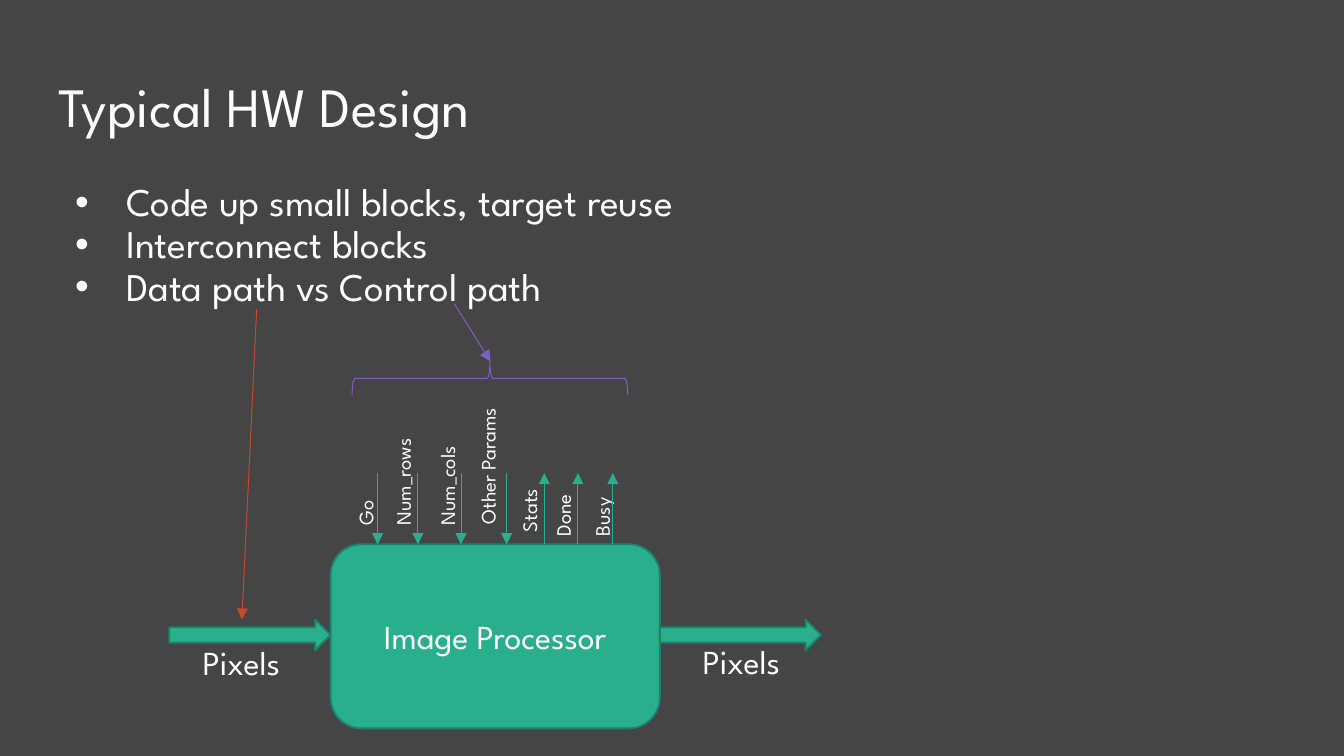
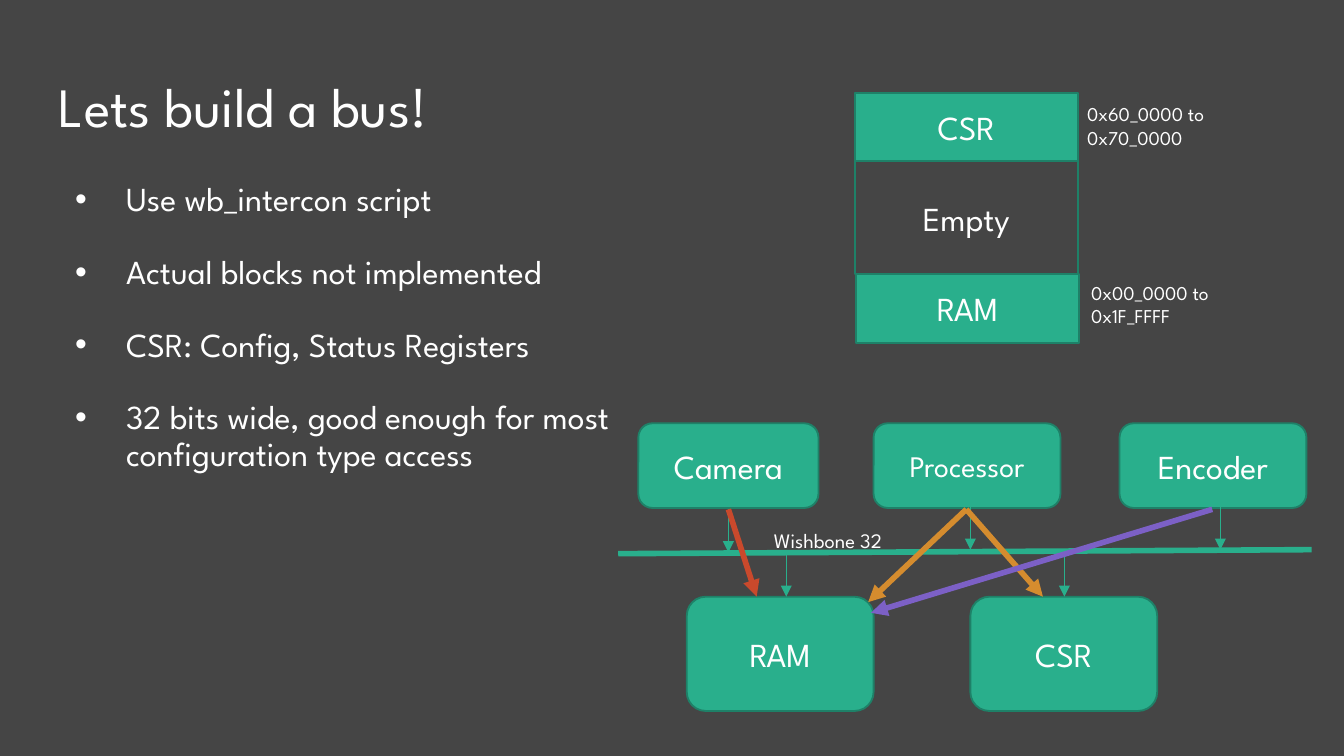
import lxml.etree
import pptx
import pptx.dml.color
import pptx.enum.shapes
import pptx.enum.text
import pptx.oxml.ns
import pptx.util

Inches = pptx.util.Inches
Pt = pptx.util.Pt
qn = pptx.oxml.ns.qn
SHAPE = pptx.enum.shapes.MSO_SHAPE
ALIGN = pptx.enum.text.PP_ALIGN

# Shared look
FONT = "League Spartan"
BACKGROUND, WHITE = "454545", "FFFFFF"
GREEN, DARK_GREEN = "29AF8C", "1E8168"
RED, ORANGE, PURPLE = "C9492C", "D58C2E", "7C60C6"
THIN, THICK = 0.5, 3


def color(hex_string):
    return pptx.dml.color.RGBColor.from_string(hex_string)


def write(shape, text, size, align=ALIGN.LEFT):
    shape.text_frame.text = text
    shape.text_frame.word_wrap = True
    for paragraph in shape.text_frame.paragraphs:
        paragraph.alignment = align
        for run in paragraph.runs:
            run.font.name = FONT
            run.font.size = Pt(size)
            run.font.color.rgb = color(WHITE)


# Slide 1: image processor with its data and control signals
processor_left, processor_top, processor_width = 2.46, 4.05, 2.45
pixel_arrow_width = 1.2
design_blocks = [
    (SHAPE.ROUNDED_RECTANGLE, "Image Processor", 18, GREEN,
     processor_left, processor_top, processor_width, 1.37),
    (SHAPE.RIGHT_ARROW, "", 18, GREEN,
     processor_left - pixel_arrow_width, 4.61, pixel_arrow_width, 0.23),
    (SHAPE.RIGHT_ARROW, "", 18, GREEN,
     processor_left + processor_width, 4.61, pixel_arrow_width, 0.23),
]
design_labels = [
    ("Pixels", 18, 1.41, 4.73, 0.84, 0.4, 0),
    ("Pixels", 18, 5.13, 4.72, 0.84, 0.4, 0),
]
design_lines = [
    (1.91, 2.3, 1.8, 4.61, RED, THIN, True),
    (3.38, 2.26, 3.65, 2.69, PURPLE, THIN, True),
]

# Signal name, arrow x, label centre x, label bottom, label length, is input
signal_top, label_height = 3.52, 0.29
for signal, arrow_x, label_x, bottom, length, is_input in [
    ("Go", 2.81, 2.72, 4.01, 0.81, True),
    ("Num_rows", 3.11, 3.0, 4.01, 1.03, True),
    ("Num_cols", 3.43, 3.33, 4.01, 1.03, True),
    ("Other Params", 3.77, 3.63, 4.0, 1.24, True),
    ("Stats", 4.05, 3.94, 4.06, 0.81, False),
    ("Done", 4.3, 4.19, 4.09, 0.81, False),
    ("Busy", 4.56, 4.48, 4.09, 0.81, False),
]:
    start, end = signal_top, processor_top
    if not is_input:
        start, end = end, start
    design_lines.append((arrow_x, start, arrow_x, end, GREEN, THIN, True))
    design_labels.append((signal, 11, label_x - length / 2,
                          bottom - length / 2 - label_height / 2,
                          length, label_height, 270))

# Slide 2: memory map, bus masters above the bus and slaves below it
bus_blocks = [
    (SHAPE.ROUNDED_RECTANGLE, name, size, GREEN, left, top, width, height)
    for name, size, left, top, width, height in [
        ("Camera", 18, 4.75, 3.15, 1.34, 0.63),
        ("Processor", 16, 6.5, 3.15, 1.39, 0.63),
        ("Encoder", 18, 8.33, 3.15, 1.39, 0.63),
        ("RAM", 18, 5.11, 4.44, 1.39, 0.85),
        ("CSR", 18, 7.22, 4.44, 1.39, 0.85),
    ]
] + [
    (SHAPE.RECTANGLE, region, 18, fill, left, top, 1.66, height)
    for region, fill, left, top, height in [
        ("CSR", GREEN, 6.36, 0.69, 0.51),
        ("RAM", GREEN, 6.37, 2.04, 0.51),
        ("Empty", None, 6.36, 1.2, 0.84),
    ]
]
bus_labels = [
    ("0x60_0000 to\n0x70_0000", 10.5, 7.99, 0.71, 1.3, 0.45, 0),
    ("0x00_0000 to\n0x1F_FFFF", 10.5, 8.02, 2.04, 1.3, 0.45, 0),
    ("Wishbone 32", 11, 5.66, 3.88, 1.78, 0.29, 0),
]
bus_lines = [(4.6, 4.12, 9.76, 4.09, GREEN, THICK, False)]
for tap_x, tap_top in [(5.42, 3.79), (7.22, 3.77), (9.08, 3.77),
                       (5.85, 4.12), (7.92, 4.12)]:
    bus_lines.append((tap_x, tap_top, tap_x, tap_top + 0.32, GREEN, THIN, True))
for master_x, slave_x, slave_y, access in [
    (5.42, 5.63, 4.44, RED),
    (7.19, 6.46, 4.48, ORANGE),
    (7.19, 7.76, 4.44, ORANGE),
    (9.02, 6.48, 4.56, PURPLE),
]:
    bus_lines.append((master_x, 3.79, slave_x, slave_y, access, THICK, True))

# Title, bullets, bullet size, space after, body width and height, parts
pages = [
    ("Typical HW Design",
     ["Code up small blocks, target reuse",
      "Interconnect blocks",
      "Data path vs Control path"],
     21, 0, 9.32, 1.31, design_blocks, design_labels, design_lines),
    ("Lets build a bus!",
     ["Use wb_intercon script",
      "Actual blocks not implemented",
      "CSR: Config, Status Registers",
      "32 bits wide, good enough for most configuration type access"],
     18, 19.5, 4.47, 3.74, bus_blocks, bus_labels, bus_lines),
]

# Widescreen 16:9
deck = pptx.Presentation()
deck.slide_width = Inches(10)
deck.slide_height = Inches(10) * 9 // 16

for (title, bullets, bullet_size, gap, body_width, body_height,
     blocks, labels, lines) in pages:
    slide = deck.slides.add_slide(deck.slide_layouts[6])
    slide.background.fill.solid()
    slide.background.fill.fore_color.rgb = color(BACKGROUND)

    # Title and bullets
    heading = slide.shapes.add_textbox(
        Inches(0.34), Inches(0.49), Inches(9.32), Inches(0.63))
    write(heading, title, 29.7)
    body = slide.shapes.add_textbox(
        Inches(0.34), Inches(1.26), Inches(body_width), Inches(body_height))
    write(body, "\n".join(bullets), bullet_size)
    for frame in (heading.text_frame, body.text_frame):
        frame.margin_top = frame.margin_bottom = Inches(0.1)
        for paragraph in frame.paragraphs:
            paragraph.line_spacing = 0.9
    for paragraph in body.text_frame.paragraphs:
        paragraph.space_after = Pt(gap)
        properties = paragraph._p.get_or_add_pPr()
        properties.set("marL", str(Inches(0.5)))
        properties.set("indent", str(Inches(-0.38)))
        bullet_font = lxml.etree.SubElement(properties, qn("a:buFont"))
        bullet_font.set("typeface", "Arial")
        lxml.etree.SubElement(properties, qn("a:buChar")).set("char", "•")

    # Blocks
    for kind, text, size, fill, *place in blocks:
        block = slide.shapes.add_shape(kind, *map(Inches, place))
        block.shadow.inherit = False
        if fill:
            block.fill.solid()
            block.fill.fore_color.rgb = color(fill)
        else:
            block.fill.background()
        block.line.color.rgb = color(DARK_GREEN)
        block.line.width = Pt(1)
        if text:
            write(block, text, size, ALIGN.CENTER)

    # Labels
    for text, size, left, top, width, height, rotation in labels:
        label = slide.shapes.add_textbox(
            Inches(left), Inches(top), Inches(width), Inches(height))
        label.rotation = rotation
        write(label, text, size)

    # Lines and arrows
    for x1, y1, x2, y2, stroke, weight, has_head in lines:
        wire = slide.shapes.add_connector(
            pptx.enum.shapes.MSO_CONNECTOR.STRAIGHT,
            Inches(x1), Inches(y1), Inches(x2), Inches(y2))
        wire.line.color.rgb = color(stroke)
        wire.line.width = Pt(weight)
        outline = wire.element.spPr.find(qn("a:ln"))
        if has_head:
            lxml.etree.SubElement(outline, qn("a:tailEnd")).set("type", "triangle")
        lxml.etree.SubElement(wire.element.spPr, qn("a:effectLst"))

# Brace over the control signals on the first slide
control_brace = deck.slides[0].shapes.add_shape(
    SHAPE.LEFT_BRACE, Inches(3.52), Inches(1.79), Inches(0.25), Inches(2.05))
control_brace.rotation = 90
control_brace.shadow.inherit = False
control_brace.fill.background()
control_brace.line.color.rgb = color(PURPLE)
control_brace.line.width = Pt(THIN)

deck.save("out.pptx")
